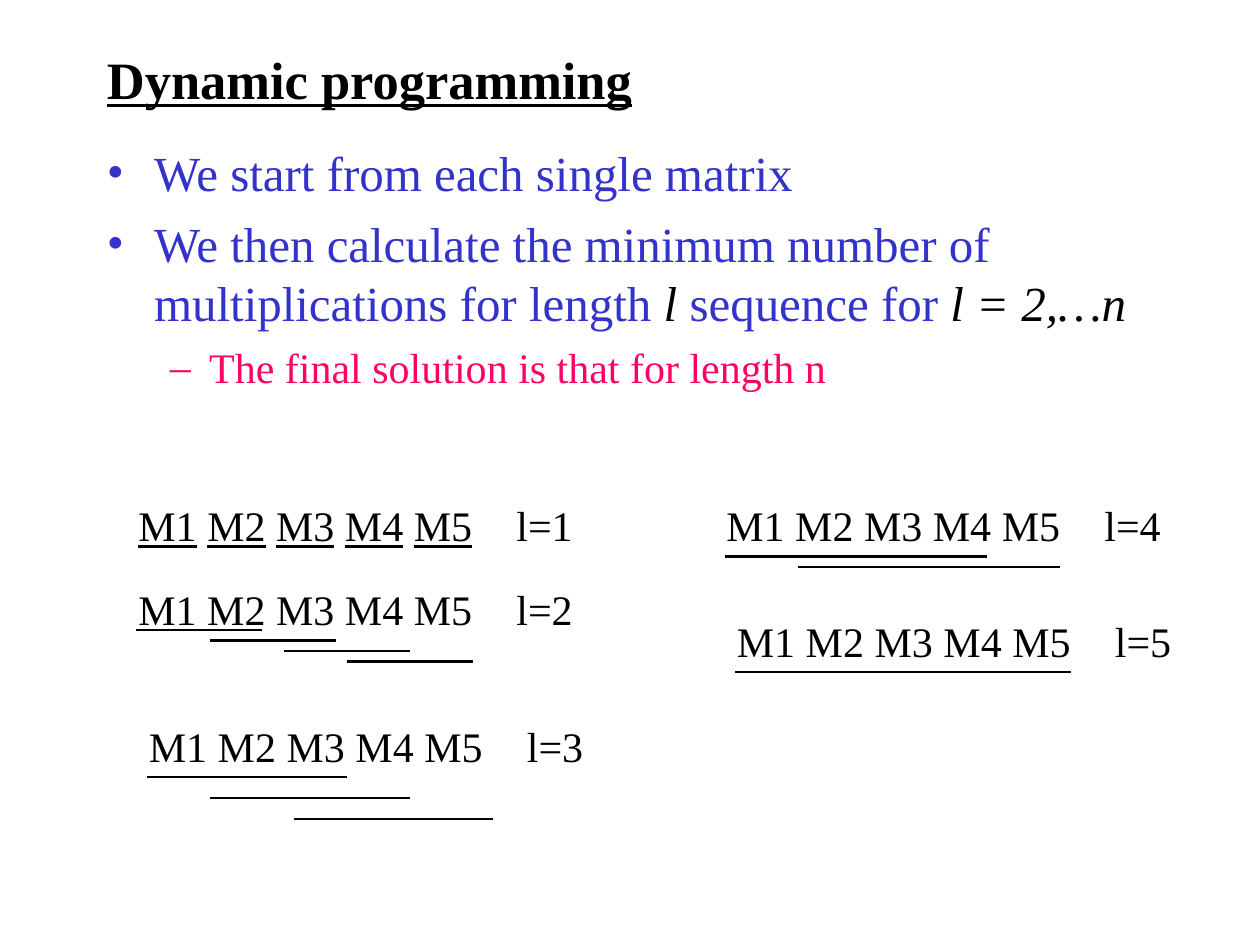
"""Build a slide on dynamic programming for matrix chain multiplication."""
import pptx
import pptx.dml.color
import pptx.enum.shapes
import pptx.enum.text
import pptx.oxml.ns
import pptx.util
from lxml import etree

Pt = pptx.util.Pt
FONT = "Times New Roman"
COLORS = {"black": "000000", "blue": "3333CC", "pink": "FF0066"}
MATRICES = ["M1", "M2", "M3", "M4", "M5"]
CHAINS = [
    {"length": 2, "left": 72, "top": 330, "drop": 30, "step": 6,
     "width": 72, "offsets": [6, 48, 90, 126]},
    {"length": 3, "left": 78, "top": 408, "drop": 36, "step": 12,
     "width": 114, "offsets": [6, 42, 90]},
    {"length": 4, "left": 408, "top": 282, "drop": 36, "step": 6,
     "width": 150, "offsets": [6, 48]},
    {"length": 5, "left": 414, "top": 348, "drop": 36, "step": 6,
     "width": 192, "offsets": [6]},
]


def rgb(name):
    return pptx.dml.color.RGBColor.from_string(COLORS[name])


def add_child(parent, tag, **attributes):
    return etree.SubElement(parent, pptx.oxml.ns.qn(tag), attributes)


def add_box(page, left, top, width, height):
    box = page.shapes.add_textbox(Pt(left), Pt(top), Pt(width), Pt(height))
    box.text_frame.word_wrap = True
    return box.text_frame


def add_span(para, text, size, color="black", **styles):
    span = para.add_run()
    span.text = text
    span.font.name = FONT
    span.font.size = Pt(size)
    span.font.color.rgb = rgb(color)
    for style, value in styles.items():
        setattr(span.font, style, value)


def add_bullet(para, mark, color, margin, hanging, before):
    para.space_before = Pt(before)
    properties = para._p.get_or_add_pPr()
    properties.set("marL", str(Pt(margin)))
    properties.set("indent", str(-Pt(hanging)))
    bullet_color = add_child(properties, "a:buClr")
    add_child(bullet_color, "a:srgbClr", val=COLORS[color])
    add_child(properties, "a:buFont", typeface=FONT)
    add_child(properties, "a:buChar", char=mark)


def add_title(page):
    frame = add_box(page, 54, 24, 486, 42)
    frame.vertical_anchor = pptx.enum.text.MSO_ANCHOR.MIDDLE
    add_span(frame.paragraphs[0], "Dynamic programming", 30, bold=True, underline=True)


def add_body(page):
    frame = add_box(page, 54, 78, 612, 402)
    start = frame.paragraphs[0]
    add_bullet(start, "•", "blue", 27, 27, 7)
    add_span(start, "We start from each single matrix", 28, "blue")

    steps = frame.add_paragraph()
    add_bullet(steps, "•", "blue", 27, 27, 7)
    add_span(steps, "We then calculate the minimum number of multiplications for length ", 28, "blue")
    add_span(steps, "l", 28, italic=True)
    add_span(steps, " sequence for ", 28, "blue")
    add_span(steps, "l = 2,…n", 28, italic=True)

    final = frame.add_paragraph()
    final.level = 1
    add_bullet(final, "–", "pink", 58.5, 22.5, 6)
    add_span(final, "The final solution is that for length n", 24, "pink")


def add_chain_para(page, left, top):
    para = add_box(page, left, top, 276, 36).paragraphs[0]
    tabs = add_child(para._p.get_or_add_pPr(), "a:tabLst")
    add_child(tabs, "a:tab", pos=str(Pt(216)), algn="l")
    return para


def add_single_matrices(page):
    para = add_chain_para(page, 72, 282)
    for index, matrix in enumerate(MATRICES):
        if index:
            add_span(para, " ", 24)
        add_span(para, matrix, 24, underline=True)
    add_span(para, "\tl=1", 24)


def add_line(page, left, top, width):
    line = page.shapes.add_connector(
        pptx.enum.shapes.MSO_CONNECTOR.STRAIGHT,
        Pt(left), Pt(top), Pt(left + width), Pt(top))
    line.line.color.rgb = rgb("black")
    line.line.width = Pt(1.5)
    add_child(line._element.spPr, "a:effectLst")


def add_chain(page, length, left, top, drop, step, width, offsets):
    para = add_chain_para(page, left, top)
    add_span(para, f"{' '.join(MATRICES)}\tl={length}", 24)
    for index, offset in enumerate(offsets):
        add_line(page, left + offset, top + drop + index * step, width)


def main():
    deck = pptx.Presentation()
    deck.slide_width, deck.slide_height = Pt(720), Pt(540)
    page = deck.slides.add_slide(deck.slide_layouts[6])
    add_title(page)
    add_body(page)
    add_single_matrices(page)
    for chain in CHAINS:
        add_chain(page, **chain)
    deck.save("out.pptx")


if __name__ == "__main__":
    main()
